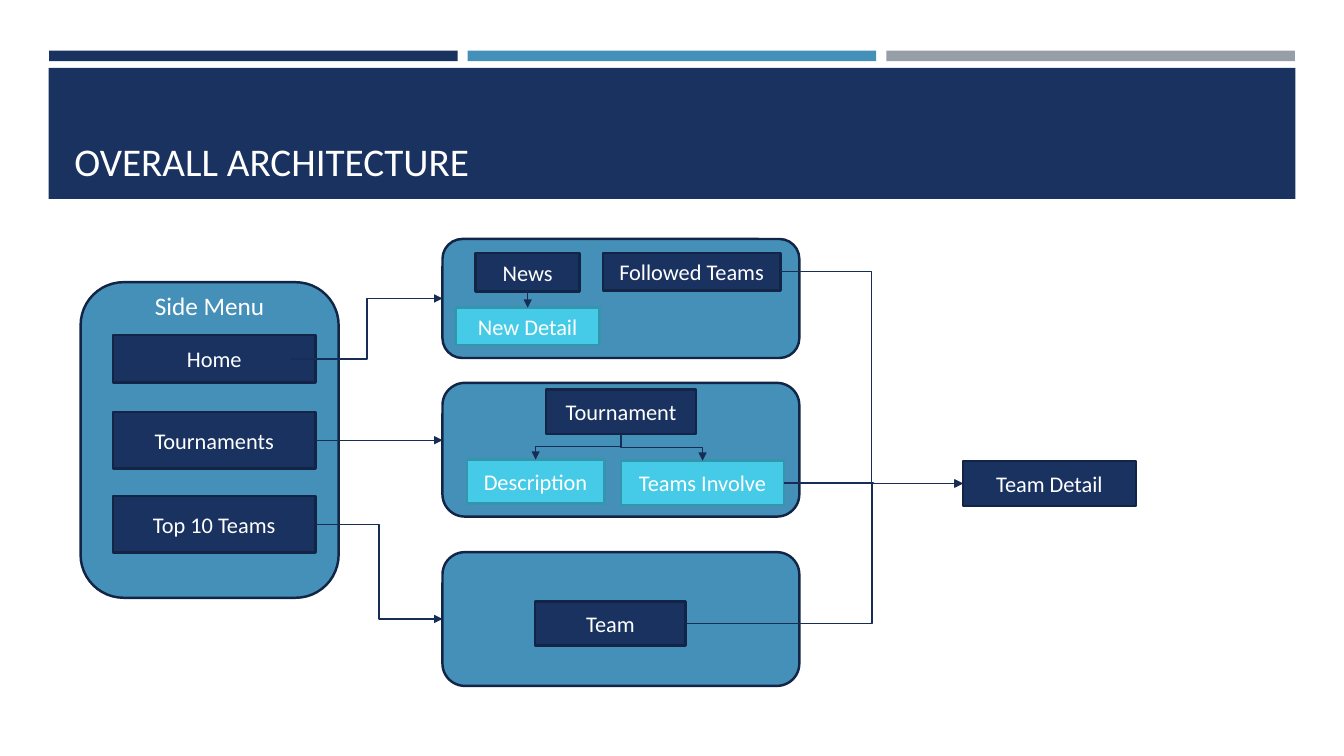
import pptx
import pptx.dml.color
import pptx.enum.shapes
import pptx.enum.text
import pptx.oxml
import pptx.oxml.ns
import pptx.util

Pt = pptx.util.Pt
SHAPES = pptx.enum.shapes.MSO_SHAPE
CONNECTORS = pptx.enum.shapes.MSO_CONNECTOR
ANCHORS = pptx.enum.text.MSO_ANCHOR
ALIGN = pptx.enum.text.PP_ALIGN

THEME = {
    "font": "Calibri", "title": 28, "heading": 18, "label": 16,
    "text": "FFFFFF", "navy": "1A3260", "blue": "4590B8", "grey": "969FA7",
    "arrow": "172D56", "outline_width": 1.75, "arrow_width": 1,
}
# kind: (preset shape, fill, outline)
BOX_KINDS = {
    "panel": (SHAPES.ROUNDED_RECTANGLE, "4590B8", "132547"),
    "screen": (SHAPES.RECTANGLE, "1A3260", "132547"),
    "detail": (SHAPES.RECTANGLE, "45CBE8", "3396AC"),
}

TITLE = "OVERALL ARCHITECTURE"
BANNER = (34.8, 48.5, 890.5, 93.6)
TITLE_AREA = (46.1, 55.4, 868.3, 79.9)
STRIPE_COLOURS = ["navy", "blue", "grey"]
STRIPE = (35.1, 36.2, 291.8, 7.5)
STRIPE_STEP = 299

MENU_LEFT, MENU_WIDTH = 80.6, 144.9
PANEL_LEFT, PANEL_WIDTH = 316.1, 254.9

# name: (kind, text, left, top, width, height)
BOXES = {
    "menu": ("panel", "Side Menu", 57.6, 201.6, 184.3, 225.4),
    "home": ("screen", "Home", MENU_LEFT, 239.5, MENU_WIDTH, 33.8),
    "tournaments": ("screen", "Tournaments", MENU_LEFT, 294.3, MENU_WIDTH, 40.3),
    "top_teams": ("screen", "Top 10 Teams", MENU_LEFT, 354.3, MENU_WIDTH, 40.3),
    "home_panel": ("panel", "", PANEL_LEFT, 170.7, PANEL_WIDTH, 85),
    "news": ("screen", "News", 339.8, 180.7, 74.2, 27.5),
    "followed": ("screen", "Followed Teams", 430.6, 180.7, 126.8, 26.8),
    "new_detail": ("detail", "New Detail", 325.4, 219.8, 103, 26.6),
    "team_detail": ("screen", "Team Detail", 687.7, 329.2, 123.8, 32.4),
    "tournament_panel": ("panel", "", PANEL_LEFT, 273.5, PANEL_WIDTH, 95.5),
    "tournament": ("screen", "Tournament", 389.9, 278.3, 107.5, 31.7),
    "description": ("detail", "Description", 333.4, 328.3, 98.3, 31.3),
    "teams_involve": ("detail", "Teams Involve", 443.5, 329.1, 116.6, 31.7),
    "team_panel": ("panel", "", PANEL_LEFT, 394.4, PANEL_WIDTH, 95.5),
    "team": ("screen", "Team", 382.3, 429.6, 107.5, 31.7),
}
# (from, to, share of the way where the bend falls, start inset)
SIDE_ARROWS = [
    ("home", "home_panel", 0.5, 17.4),
    ("top_teams", "team_panel", 0.5, 0),
    ("team", "team_detail", 0.672, 0),
    ("teams_involve", "team_detail", 0.5, 0),
    ("followed", "team_detail", 0.5, 0),
]
LEVEL_ARROWS = [("tournaments", "tournament_panel")]
DOWN_ARROWS = [("tournament", "teams_involve"), ("tournament", "description")]
STRAIGHT_DOWN_ARROWS = [("news", "new_detail")]


def colour(value):
    return pptx.dml.color.RGBColor.from_string(value)


def add_box(slide, preset, bounds, fill, outline=None):
    shape = slide.shapes.add_shape(preset, *map(Pt, bounds))
    shape.shadow.inherit = False
    shape.fill.solid()
    shape.fill.fore_color.rgb = colour(fill)
    if outline:
        shape.line.color.rgb = colour(outline)
        shape.line.width = Pt(THEME["outline_width"])
    else:
        shape.line.fill.background()
    return shape


def write(shape, text, size, anchor, alignment):
    frame = shape.text_frame
    frame.word_wrap = True
    frame.vertical_anchor = anchor
    paragraph = frame.paragraphs[0]
    paragraph.alignment = alignment
    run = paragraph.add_run()
    run.text = text
    run.font.name = THEME["font"]
    run.font.size = Pt(size)
    run.font.color.rgb = colour(THEME["text"])


def anchor_point(name, side):
    """Return the middle of one side of a named box."""
    left, top, width, height = BOXES[name][2:]
    return {
        "left": (left, top + height / 2),
        "right": (left + width, top + height / 2),
        "top": (left + width / 2, top),
        "bottom": (left + width / 2, top + height),
    }[side]


def add_arrow(slide, kind, start, end):
    connector = slide.shapes.add_connector(kind, *map(Pt, start + end))
    connector.line.color.rgb = colour(THEME["arrow"])
    connector.line.width = Pt(THEME["arrow_width"])
    qn = pptx.oxml.ns.qn
    line = connector.line._get_or_add_ln()
    head = line.makeelement(qn("a:tailEnd"), {"type": "triangle"})
    line.append(head)
    properties = connector._element.spPr
    properties.append(properties.makeelement(qn("a:effectLst"), {}))
    return connector


def set_bend(connector, share):
    guides = connector._element.spPr.prstGeom.get_or_add_avLst()
    guides.append(guides.makeelement(
        pptx.oxml.ns.qn("a:gd"),
        {"name": "adj1", "fmla": f"val {round(share * 100000)}"}))


def add_down_elbow(slide, start, end):
    """Add an elbow that leaves downwards: a sideways elbow, turned a quarter."""
    run, drop = end[0] - start[0], end[1] - start[1]
    middle_x, middle_y = start[0] + run / 2, start[1] + drop / 2
    turn = 1 if run < 0 else -1
    across, along = turn * drop / 2, turn * run / 2
    connector = add_arrow(slide, CONNECTORS.ELBOW,
                          (middle_x - across, middle_y + along),
                          (middle_x + across, middle_y - along))
    connector._element.spPr.xfrm.set("rot", str(turn % 4 * 90 * 60000))


def add_header(slide):
    left, top, width, height = STRIPE
    for index, name in enumerate(STRIPE_COLOURS):
        bounds = (left + index * STRIPE_STEP, top, width, height)
        add_box(slide, SHAPES.RECTANGLE, bounds, THEME[name])
    add_box(slide, SHAPES.RECTANGLE, BANNER, THEME["navy"])
    title = slide.shapes.add_textbox(*map(Pt, TITLE_AREA))
    write(title, TITLE, THEME["title"], ANCHORS.BOTTOM, ALIGN.LEFT)


def add_diagram(slide):
    for kind, text, *bounds in BOXES.values():
        shape = add_box(slide, BOX_KINDS[kind][0], bounds, *BOX_KINDS[kind][1:])
        if kind == "panel" and text:
            shape.text_frame.margin_top = Pt(-3)
            write(shape, text, THEME["heading"], ANCHORS.TOP, ALIGN.CENTER)
        elif text:
            write(shape, text, THEME["label"], ANCHORS.MIDDLE, ALIGN.CENTER)

    for source, target, share, inset in SIDE_ARROWS:
        x, y = anchor_point(source, "right")
        connector = add_arrow(slide, CONNECTORS.ELBOW, (x - inset, y),
                              anchor_point(target, "left"))
        set_bend(connector, share)
    for source, target in LEVEL_ARROWS:
        start = anchor_point(source, "right")
        end = (anchor_point(target, "left")[0], start[1])
        add_arrow(slide, CONNECTORS.STRAIGHT, start, end)
    for source, target in DOWN_ARROWS:
        add_down_elbow(slide, anchor_point(source, "bottom"),
                       anchor_point(target, "top"))
    for source, target in STRAIGHT_DOWN_ARROWS:
        add_arrow(slide, CONNECTORS.STRAIGHT, anchor_point(source, "bottom"),
                  anchor_point(target, "top"))


def main():
    presentation = pptx.Presentation()
    presentation.slide_width = Pt(960)
    presentation.slide_height = Pt(540)
    slide = presentation.slides.add_slide(presentation.slide_layouts[6])
    add_header(slide)
    add_diagram(slide)
    presentation.save("out.pptx")


if __name__ == "__main__":
    main()
